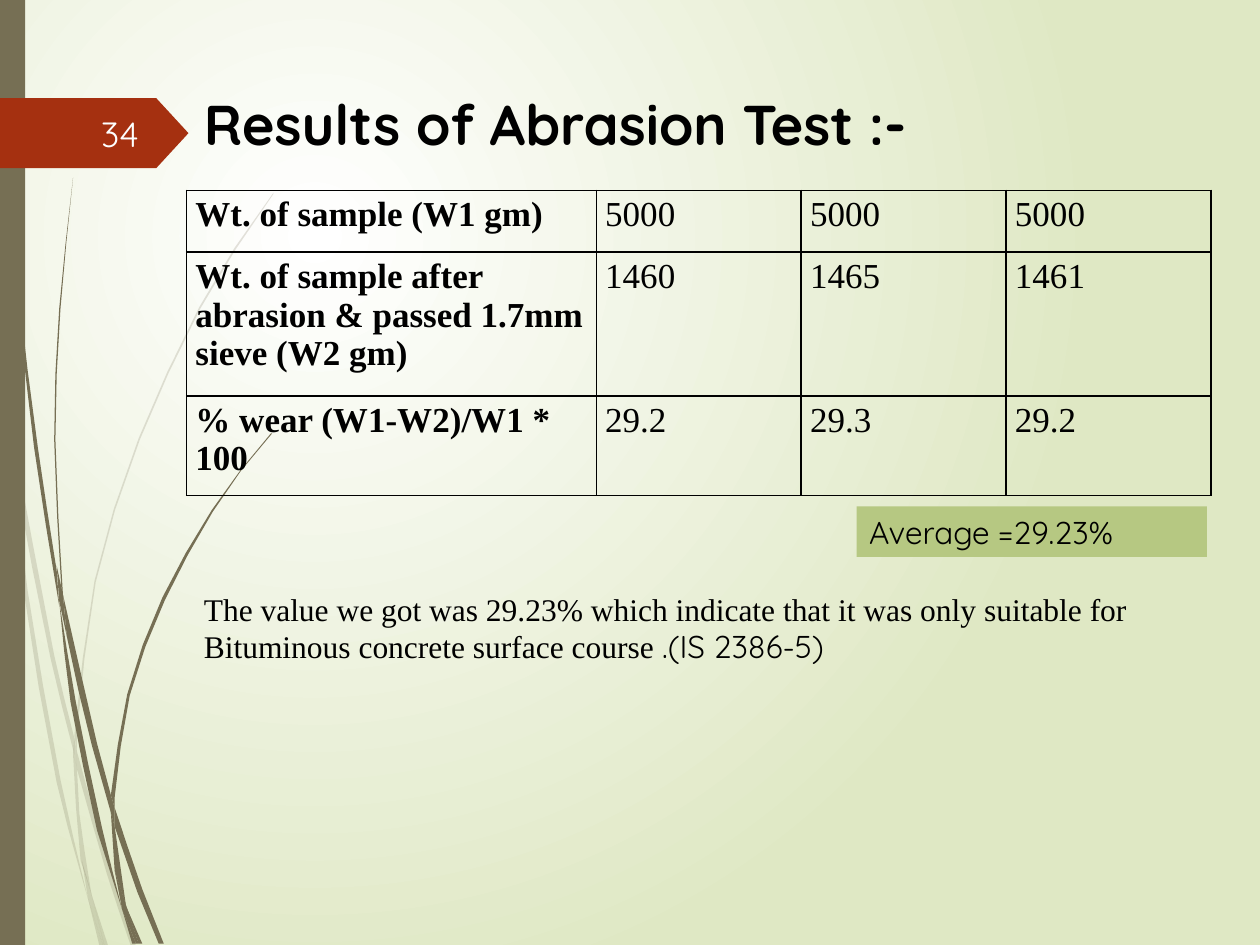
from dataclasses import dataclass
from itertools import product
from math import hypot

from lxml import etree
from pptx import Presentation
from pptx.dml.color import RGBColor
from pptx.enum.shapes import MSO_SHAPE
from pptx.enum.text import MSO_ANCHOR, PP_ALIGN
from pptx.oxml.ns import qn
from pptx.util import Cm, Pt

RECTANGLE = MSO_SHAPE.RECTANGLE
PENTAGON = MSO_SHAPE.PENTAGON
LEFT, RIGHT = PP_ALIGN.LEFT, PP_ALIGN.RIGHT
TOP, MIDDLE = MSO_ANCHOR.TOP, MSO_ANCHOR.MIDDLE

SANS, SERIF = "Quicksand", "Times New Roman"
BLACK, WHITE, STEM, RUST, GREEN = "000000", "FEFFFF", "766F54", "A53010", "B6C882"
GRID = Cm(0.0254)  # one unit of the blade coordinates
LONG_SPAN = 60  # longer spans get a bend at their middle

Point = tuple[float, float]


@dataclass(frozen=True)
class Blade:
    """A blade of grass, bounded by one edge out and one edge back."""
    out: list[Point]
    back: list[Point]


FAINT_BLADES = [
    Blade([(8, 350), (0, 282)], [(0, 299), (8, 350)]),
    Blade([(10, 345), (12, 376), (40, 522), (59, 599)], [(59, 586), (43, 520), (10, 345)]),
    Blade([(61, 596), (88, 692), (108, 751)], [(104, 751), (85, 694), (61, 610)]),
    Blade([(73, 711), (83, 751)], [(86, 751)]),
    Blade([(8, 350), (22, 469), (48, 619), (70, 714)],
          [(64, 693), (45, 621), (19, 470), (8, 350)]),
    Blade([(58, 599), (64, 683), (73, 711)], [(72, 706), (63, 646), (61, 608)]),
    Blade([(217, 154), (187, 198), (159, 245), (111, 349), (76, 462), (61, 584), (61, 596)],
          [(59, 584), (75, 461), (110, 348), (158, 244), (186, 197), (217, 153)]),
    Blade([(70, 714), (79, 751)], [(82, 751)]),
    Blade([(59, 586), (58, 599), (61, 608)], [(61, 596)]),
    Blade([(65, 683), (73, 711), (83, 751)], [(82, 751), (70, 714)]),
]
DARK_BLADES = [
    Blade([(2, 0), (5, 110), (14, 233), (27, 355), (47, 481)],
          [(45, 453), (30, 355), (15, 232), (6, 109), (3, 0)]),
    Blade([(50, 472), (53, 505), (73, 592), (88, 645)], [(88, 631), (77, 590), (50, 472)]),
    Blade([(91, 641), (113, 706), (130, 749)], [(126, 749), (109, 708), (91, 656)]),
    Blade([(47, 477), (60, 556), (81, 657), (97, 722)], [(77, 659), (56, 557), (47, 477)]),
    Blade([(58, 141), (48, 245), (44, 349), (50, 472)],
          [(49, 472), (43, 349), (47, 245), (58, 141)]),
    Blade([(100, 719), (110, 749)], [(113, 749)]),
    Blade([(45, 449), (47, 477), (53, 505)], [(50, 472)]),
    Blade([(216, 344), (191, 374), (169, 406), (131, 476), (103, 552), (91, 633), (91, 641)],
          [(88, 631), (101, 551), (129, 474), (168, 405), (191, 373), (215, 344)]),
    Blade([(97, 722), (105, 749)], [(108, 749)]),
    Blade([(88, 645), (91, 691), (100, 719)], [(91, 656)]),
    Blade([(88, 631), (88, 645), (91, 656)], [(91, 641)]),
    Blade([(91, 691), (97, 722), (108, 749)], [(110, 749), (96, 706)]),
]

TABLE_ROWS = [
    ("Wt. of sample (W1 gm)", "5000", "5000", "5000"),
    ("Wt. of sample after abrasion & passed 1.7mm sieve (W2 gm)", "1460", "1465", "1461"),
    ("% wear (W1-W2)/W1 * 100", "29.2", "29.3", "29.2"),
]
COLUMN_WIDTHS = [8.26, 4.13, 4.13, 4.13]
ROW_HEIGHTS = [1.24, 2.9, 2.01]


def color(value: str) -> RGBColor:
    return RGBColor.from_string(value)


def paint(shape, fill: str, alpha: int = 100) -> None:
    """Give a plain fill, with alpha as percent opacity, and no outline or shadow."""
    shape.shadow.inherit = False
    shape.line.fill.background()
    shape.fill.solid()
    shape.fill.fore_color.rgb = color(fill)
    if alpha < 100:
        tone = shape._element.spPr.find(".//" + qn("a:srgbClr"))
        etree.SubElement(tone, qn("a:alpha"), val=str(alpha * 1000))


def write(frame, *texts: tuple[str, str], size: float = 18, ink: str = BLACK,
          bold: bool = False, align=LEFT, anchor=TOP) -> None:
    """Fill one paragraph with (text, font) spans."""
    frame.word_wrap = True
    frame.vertical_anchor = anchor
    para = frame.paragraphs[0]
    para.alignment = align
    for text, font in texts:
        span = para.add_run()
        span.text = text
        span.font.name, span.font.size, span.font.bold = font, Pt(size), bold
        span.font.color.rgb = color(ink)


def add_text(page, left: float, top: float, width: float, height: float,
             *texts: tuple[str, str], **style) -> None:
    box = page.shapes.add_textbox(Cm(left), Cm(top), Cm(width), Cm(height))
    write(box.text_frame, *texts, **style)


def add_block(page, kind, left: float, top: float, width: float, height: float, fill: str):
    block = page.shapes.add_shape(kind, Cm(left), Cm(top), Cm(width), Cm(height))
    paint(block, fill)
    return block


def smooth(edge: list[Point]) -> list[Point]:
    """Bend each long span at its middle, following the directions of its neighbours."""
    def direction(index: int) -> Point:
        before, after = edge[max(index - 1, 0)], edge[min(index + 1, len(edge) - 1)]
        run, rise = after[0] - before[0], after[1] - before[1]
        length = hypot(run, rise)
        return run / length, rise / length

    points = [edge[0]]
    for index, (start, end) in enumerate(zip(edge, edge[1:])):
        span = hypot(end[0] - start[0], end[1] - start[1])
        if span > LONG_SPAN:
            leaving, arriving = direction(index), direction(index + 1)
            points.append(tuple((start[axis] + end[axis]) / 2
                                + (leaving[axis] - arriving[axis]) * span / 8
                                for axis in (0, 1)))
        points.append(end)
    return points


def add_blade(page, blade: Blade, alpha: int) -> None:
    outline = [(x * GRID, y * GRID) for x, y in smooth(blade.out) + smooth(blade.back)]
    builder = page.shapes.build_freeform(*outline[0])
    builder.add_line_segments(outline[1:])
    paint(builder.convert_to_shape(), STEM, alpha)


def set_background(page) -> None:
    """Spread a round gradient from the upper left quarter."""
    fill = page.background.fill
    fill.gradient()
    for stop, tone in zip(fill.gradient_stops, ("FFFFFF", "DFE8C4")):
        stop.color.rgb = color(tone)
    gradient = page.element.find(".//" + qn("a:gradFill"))
    gradient.remove(gradient.find(qn("a:lin")))
    circle = etree.SubElement(gradient, qn("a:path"), {"path": "circle"})
    etree.SubElement(circle, qn("a:fillToRect"), l="50000", t="50000", r="100000", b="100000")


def add_borders(cell) -> None:
    properties = cell._tc.get_or_add_tcPr()
    for index, side in enumerate(("lnL", "lnR", "lnT", "lnB")):
        border = etree.Element(qn(f"a:{side}"), w=str(Pt(1)))
        solid = etree.SubElement(border, qn("a:solidFill"))
        etree.SubElement(solid, qn("a:srgbClr"), val=BLACK)
        properties.insert(index, border)


def add_results(page) -> None:
    table = page.shapes.add_table(len(ROW_HEIGHTS), len(COLUMN_WIDTHS), Cm(3.76), Cm(3.84),
                                  Cm(sum(COLUMN_WIDTHS)), Cm(sum(ROW_HEIGHTS))).table
    for column, width in zip(table.columns, COLUMN_WIDTHS):
        column.width = Cm(width)
    for row, height in zip(table.rows, ROW_HEIGHTS):
        row.height = Cm(height)
    for row, column in product(range(len(ROW_HEIGHTS)), range(len(COLUMN_WIDTHS))):
        cell = table.cell(row, column)
        cell.fill.background()
        cell.margin_left = cell.margin_right = Cm(0.18)
        cell.margin_top = cell.margin_bottom = Cm(0.1)
        write(cell.text_frame, (TABLE_ROWS[row][column], SERIF), size=20, bold=column == 0)
        add_borders(cell)


def main() -> None:
    deck = Presentation()
    deck.slide_width, deck.slide_height = Cm(25.4), Cm(19.05)
    page = deck.slides.add_slide(deck.slide_layouts[6])
    set_background(page)
    for blades, alpha in ((FAINT_BLADES, 20), (DARK_BLADES, 100)):
        for blade in blades:
            add_blade(page, blade, alpha)
    add_block(page, RECTANGLE, 0, 0, 0.51, 19.05, STEM)
    tag = add_block(page, PENTAGON, 0, 1.98, 3.8, 1.41, RUST)
    tag.adjustments[0] = 0.46
    add_text(page, 1.42, 2.18, 1.63, 1.02, ("34", SANS), size=20, ink=WHITE,
             align=RIGHT, anchor=MIDDLE)
    add_text(page, 3.86, 1.68, 21.16, 1.63, ("Results of Abrasion Test :-", SANS),
             size=32, bold=True)
    add_results(page)
    add_text(page, 3.86, 11.76, 19.96, 2.57,
             ("The value we got was 29.23% which indicate that it was only suitable for "
              "Bituminous concrete surface course ", SERIF), (".(IS 2386-5)", SANS))
    average = add_block(page, RECTANGLE, 17.27, 10.21, 7.06, 1.02, GREEN)
    write(average.text_frame, ("Average =29.23%", SANS))
    deck.save("out.pptx")


if __name__ == "__main__":
    main()
